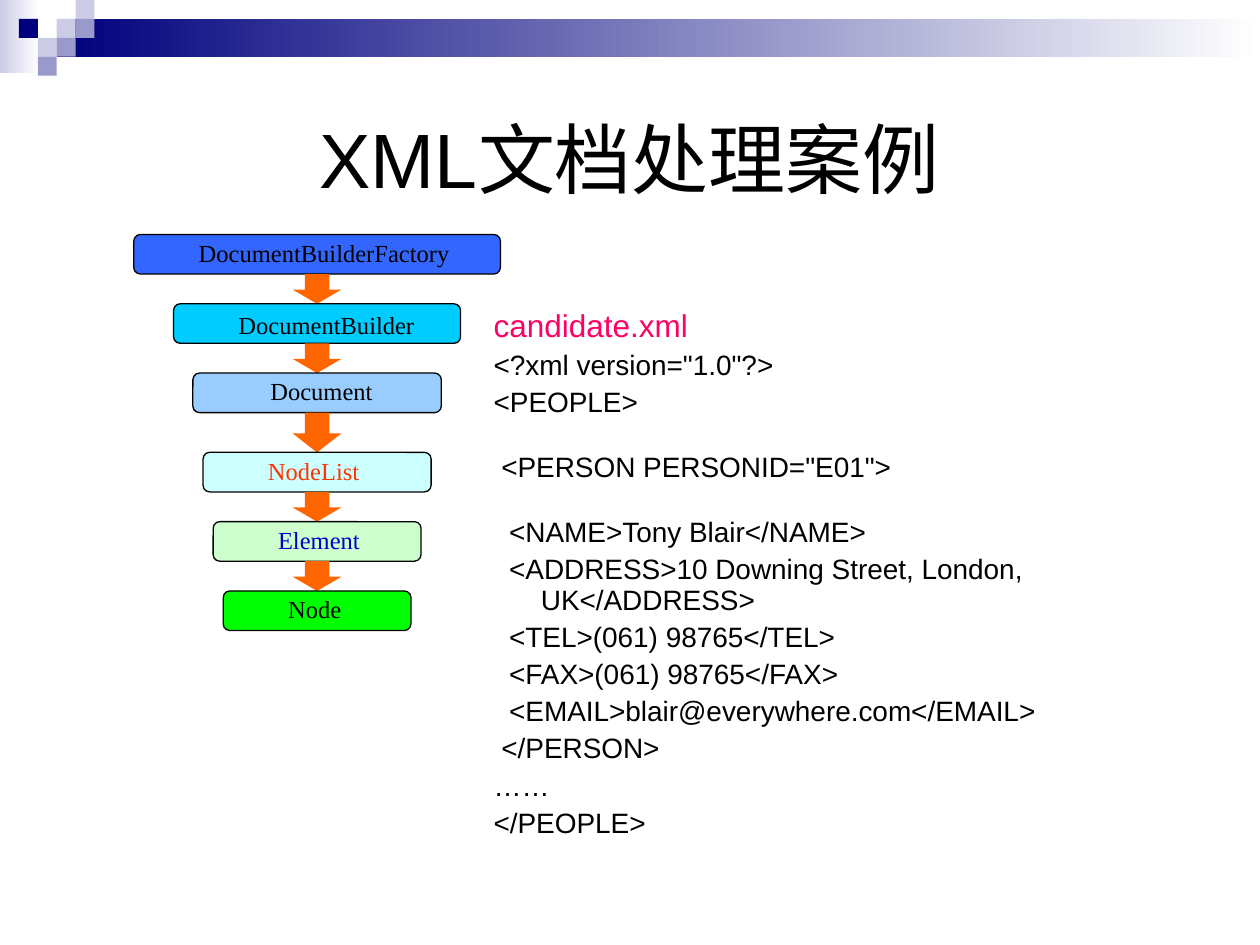
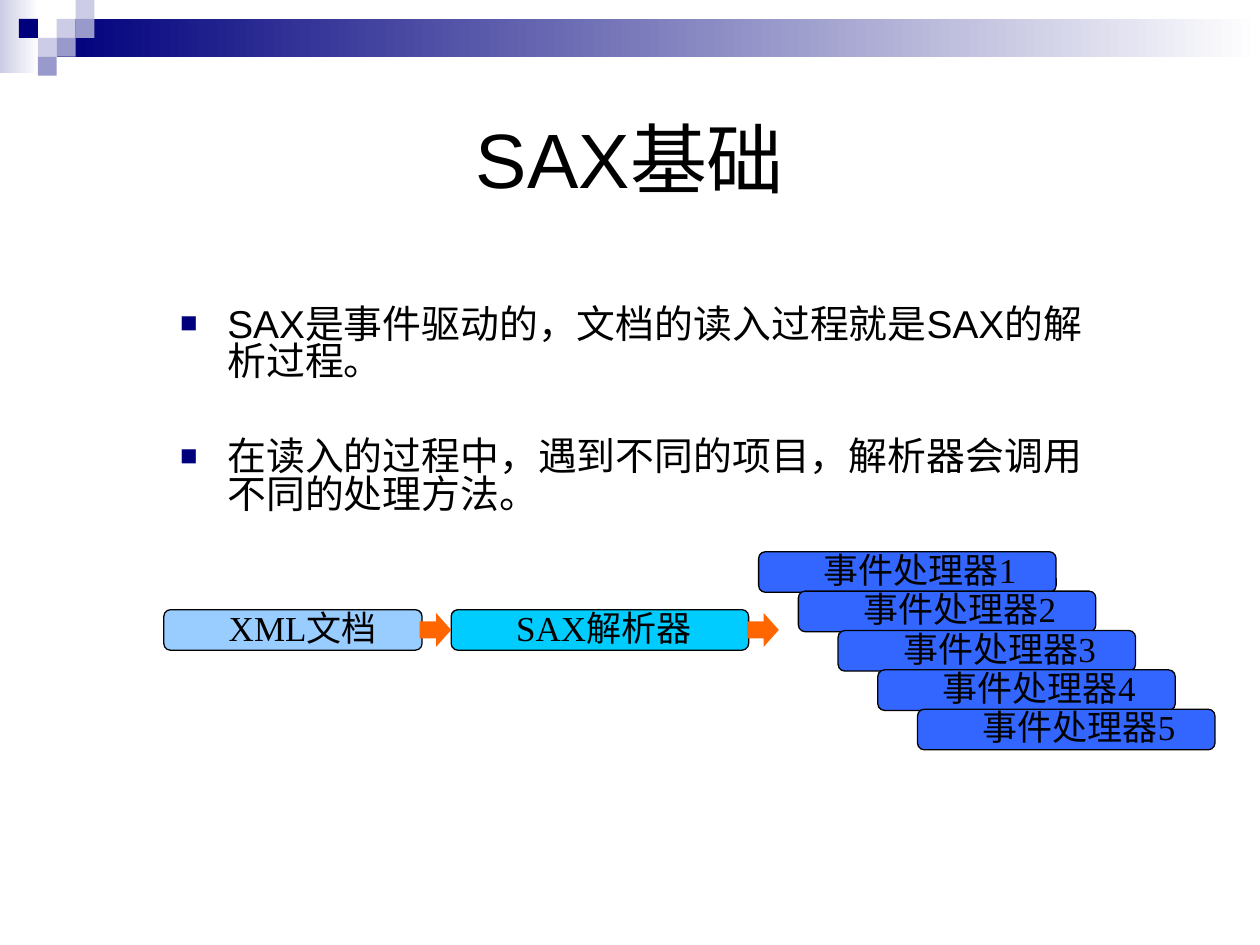
from lxml import etree
from pptx import Presentation
from pptx.dml.color import RGBColor
from pptx.enum.shapes import MSO_SHAPE
from pptx.enum.text import MSO_ANCHOR, PP_ALIGN
from pptx.oxml.ns import qn
from pptx.util import Pt

RECT = MSO_SHAPE.RECTANGLE
ROUND = MSO_SHAPE.FLOWCHART_ALTERNATE_PROCESS
DOWN, RIGHT = MSO_SHAPE.DOWN_ARROW, MSO_SHAPE.RIGHT_ARROW
TOP, MIDDLE = MSO_ANCHOR.TOP, MSO_ANCHOR.MIDDLE
LEFT, CENTER = PP_ALIGN.LEFT, PP_ALIGN.CENTER

SANS, SERIF = "Arial", "Times New Roman"
BLACK, WHITE, NAVY, LILAC, MAUVE = "000000", "FFFFFF", "00007D", "CCCCE6", "9999CC"
PINK, ORANGE, BLUE, CYAN, SKY = "FF0066", "FF6600", "3366FF", "00CCFF", "99CCFF"

CELL = 10.8
FADES = [((0, 0, 22.3, 41.8), LILAC), ((32.4, CELL, 687.6, 21.6), NAVY)]
CELLS = [
    (3, 1, LILAC), (4, 0, LILAC), (4, 1, MAUVE), (2, 2, LILAC),
    (1, 1, NAVY), (3, 2, MAUVE), (2, 3, MAUVE),
]

DOM_TITLE = "XML文档处理案例"
STEPS = [
    ("DocumentBuilderFactory", 209.5, BLUE, BLACK, 17, 0, 0),
    ("DocumentBuilder", 164, CYAN, BLACK, 17, 0, 3.5),
    ("Document", 142, SKY, BLACK, 22.7, 7.2, 0),
    ("NodeList", 130.3, "CCFFFF", "FF3300", 17, 0, 0),
    ("Element", 118.8, "CCFFCC", "0000CC", 17, 0, 0),
    ("Node", 107.3, "00FF00", BLACK, 0, 0, 0),
]
CODE = [
    ("candidate.xml", 18, PINK, 0),
    ('<?xml version="1.0"?>', 16, BLACK, 4),
    ("<PEOPLE>", 16, BLACK, 4),
    (' <PERSON PERSONID="E01">', 16, BLACK, 20),
    ("  <NAME>Tony Blair</NAME>", 16, BLACK, 20),
    ("  <ADDRESS>10 Downing Street, London, UK</ADDRESS>", 16, BLACK, 4),
    ("  <TEL>(061) 98765</TEL>", 16, BLACK, 4),
    ("  <FAX>(061) 98765</FAX>", 16, BLACK, 4),
    ("  <EMAIL>blair@everywhere.com</EMAIL>", 16, BLACK, 4),
    (" </PERSON>", 16, BLACK, 4),
    ("……", 16, BLACK, 4),
    ("</PEOPLE>", 16, BLACK, 4),
]

SAX_TITLE = "SAX基础"
POINTS = [
    ("SAX是事件驱动的，文档的读入过程就是SAX的解析过程。", 22.2, BLACK, 0),
    ("在读入的过程中，遇到不同的项目，解析器会调用不同的处理方法。", 22.2, BLACK, 33),
]
FLOW = [("SAX解析器", 257.8, 170, CYAN), ("XML文档", 93.6, 147.6, SKY)]
HANDLERS = [f"事件处理器{n}" for n in range(1, 6)]


def color(code):
    return RGBColor.from_string(code)


def add(slide, kind, box, fill, line=None):
    shape = slide.shapes.add_shape(kind, *map(Pt, box))
    shape.shadow.inherit = False
    shape.fill.solid()
    shape.fill.fore_color.rgb = color(fill)
    if line:
        shape.line.color.rgb = color(line)
        shape.line.width = Pt(0.75)
    else:
        shape.line.fill.background()
    return shape


def frame(shape, insets, anchor):
    text = shape.text_frame
    text.word_wrap = True
    text.vertical_anchor = anchor
    text.margin_left, text.margin_top, text.margin_right, text.margin_bottom = map(Pt, insets)
    return text


def write(para, words, size, tint, face, align=LEFT, lead=1.0, before=0):
    para.alignment = align
    para.line_spacing = lead
    para.space_before = Pt(before)
    run = para.add_run()
    run.text = words
    run.font.size = Pt(size)
    run.font.name = face
    run.font.color.rgb = color(tint)


def bullet(para):
    props = para._p.get_or_add_pPr()
    tint = etree.SubElement(props, qn("a:buClr"))
    etree.SubElement(tint, qn("a:srgbClr"), val=NAVY)
    etree.SubElement(props, qn("a:buSzPct"), val="75000")
    etree.SubElement(props, qn("a:buFont"), typeface=SANS)
    etree.SubElement(props, qn("a:buChar"), char="■")


def body(slide, box, lines, lead, marked=False):
    text = frame(slide.shapes.add_textbox(*map(Pt, box)), (7.2, 3.6, 7.2, 3.6), TOP)
    for i, (words, size, tint, before) in enumerate(lines):
        para = text.add_paragraph() if i else text.paragraphs[0]
        props = para._p.get_or_add_pPr()
        props.set("marL", str(Pt(27)))
        props.set("indent", str(Pt(-27)))
        if marked:
            bullet(para)
        write(para, words, size, tint, SANS, LEFT, lead, before)


def label(slide, box, words, fill, size, tint=BLACK, push=0, drop=0):
    shape = add(slide, ROUND, box, fill, BLACK)
    text = frame(shape, (36 + push, 3.6 + drop, 0, 3.6), MIDDLE)
    write(text.paragraphs[0], words, size, tint, SERIF, lead=0.9)


def arrow(slide, kind, box):
    shape = add(slide, kind, box, ORANGE)
    shape.adjustments[0] = 0.5
    shape.adjustments[1] = 0.48


def start(deck, title):
    slide = deck.slides.add_slide(deck.slide_layouts[6])
    for box, tint in FADES:
        fill = add(slide, RECT, box, tint).fill
        fill.gradient()
        fill.gradient_angle = 0
        for stop, shade in zip(fill.gradient_stops, (tint, WHITE)):
            stop.color.rgb = color(shade)
    for col, row, tint in CELLS:
        add(slide, RECT, (col * CELL, row * CELL, CELL, CELL), tint)
    box = slide.shapes.add_textbox(Pt(36), Pt(61.2), Pt(648), Pt(57.6))
    text = frame(box, (7.2, 3.6, 7.2, 3.6), MIDDLE)
    write(text.paragraphs[0], title, 44, BLACK, SANS, CENTER)
    return slide


def dom(deck):
    slide = start(deck, DOM_TITLE)
    body(slide, (275, 173.5, 420, 332.6), CODE, 0.9)
    mid, top, high = 181.2, 134, 22.6
    for words, wide, fill, tint, gap, push, drop in STEPS:
        label(slide, (mid - wide / 2, top, wide, high), words, fill, 14, tint, push, drop)
        if gap:
            arrow(slide, DOWN, (mid - 14, top + high, 28, gap))
        top += high + gap


def sax(deck):
    slide = start(deck, SAX_TITLE)
    body(slide, (95.8, 172.8, 534.2, 131), POINTS, 0.8, True)
    for words, left, wide, fill in FLOW:
        label(slide, (left, 348.4, wide, 23.2), words, fill, 20)
    for left in (239.8, 427):
        arrow(slide, RIGHT, (left, 350.3, 18, 19.4))
    for i, words in enumerate(HANDLERS):
        label(slide, (433.5 + 22.7 * i, 315.3 + 22.5 * i, 170, 23.2), words, BLUE, 20)


def main():
    deck = Presentation()
    deck.slide_width, deck.slide_height = Pt(720), Pt(540)
    dom(deck)
    sax(deck)
    deck.save("out.pptx")


if __name__ == "__main__":
    main()
